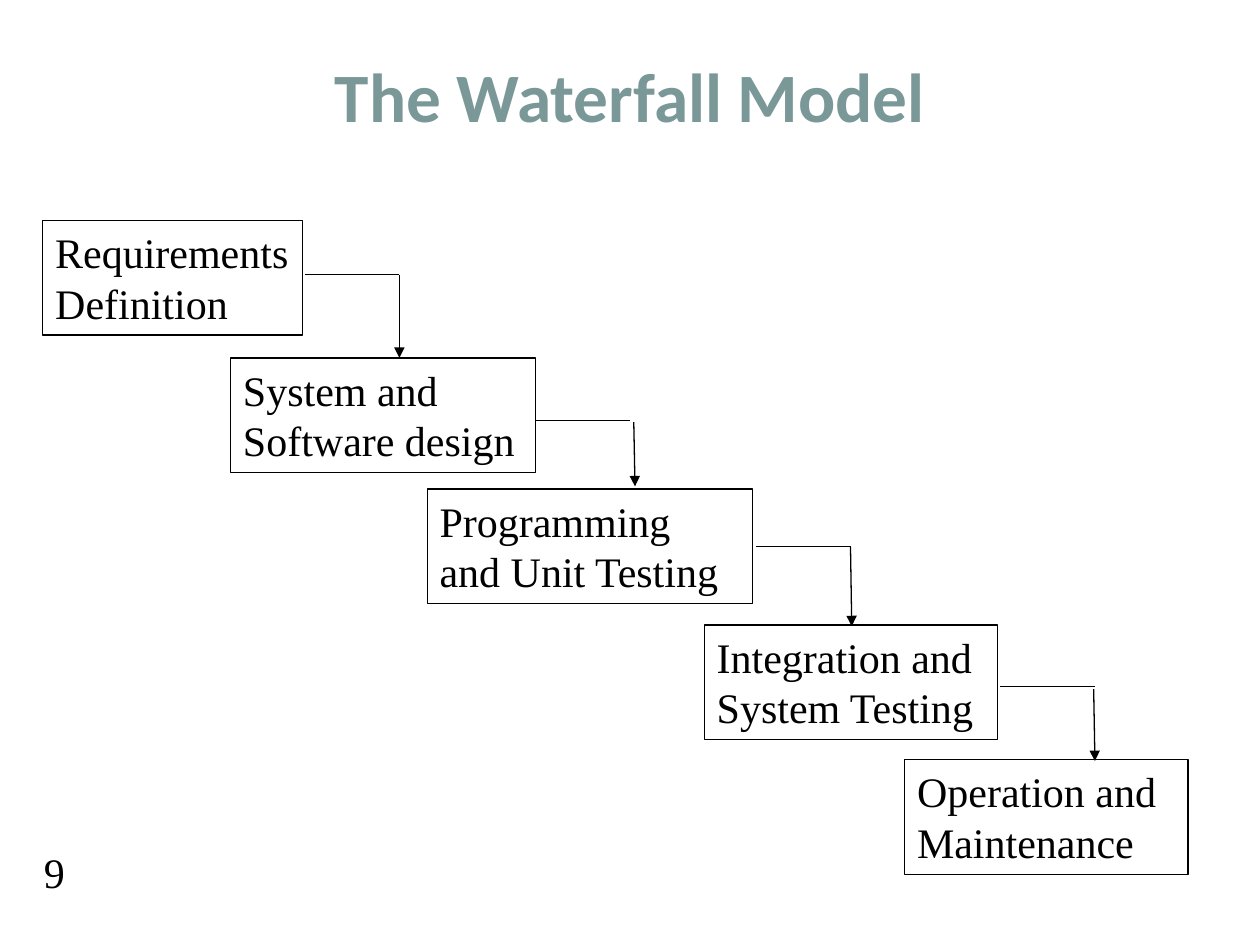
import lxml.etree
import pptx
import pptx.dml.color
import pptx.enum.shapes
import pptx.enum.text
import pptx.oxml.ns
import pptx.util

Inches = pptx.util.Inches
Pt = pptx.util.Pt
BLACK = pptx.dml.color.RGBColor(0x00, 0x00, 0x00)
TEAL = pptx.dml.color.RGBColor(0x7B, 0x98, 0x99)

BODY_FONT = {"name": "Times New Roman", "size": Pt(24), "bold": False}
TITLE_FONT = {"name": "Calibri", "size": Pt(39.6), "bold": True}
BOX_HEIGHT = 0.91
RUN_LENGTH = 0.75

# Text lines, left, top, width
stages = [
    (("Requirements", "Definition"), 0.34, 1.75, 2.06),
    (("System and", "Software design"), 1.83, 2.84, 2.42),
    (("Programming", "and Unit Testing"), 3.39, 3.88, 2.58),
    (("Integration and", "System Testing"), 5.59, 4.96, 2.33),
    (("Operation and", "Maintenance"), 7.18, 6.03, 2.25),
]
# Start of the level run, then start and end of the drop to the next stage
steps = [
    ((2.42, 2.18), (3.17, 2.18), (3.17, 2.84)),
    ((4.25, 3.34), (5.03, 3.35), (5.04, 3.86)),
    ((6, 4.34), (6.75, 4.34), (6.76, 4.97)),
    ((7.94, 5.45), (8.68, 5.47), (8.69, 6.04)),
]


def write_text(frame, lines, font_format, color, alignment):
    for index, line in enumerate(lines):
        paragraph = frame.paragraphs[0] if index == 0 else frame.add_paragraph()
        paragraph.alignment = alignment
        run = paragraph.add_run()
        run.text = line
        run.font.color.rgb = color
        for attribute, value in font_format.items():
            setattr(run.font, attribute, value)


def draw_line(start, end, arrow=False):
    line = slide.shapes.add_connector(
        pptx.enum.shapes.MSO_CONNECTOR.STRAIGHT,
        *(Inches(length) for length in (*start, *end)))
    line.line.color.rgb = BLACK
    line.line.width = Pt(0.75)
    if arrow:
        lxml.etree.SubElement(line.line._get_or_add_ln(),
                              pptx.oxml.ns.qn("a:tailEnd"), type="triangle")
    lxml.etree.SubElement(line._element.spPr, pptx.oxml.ns.qn("a:effectLst"))


presentation = pptx.Presentation()
presentation.slide_width = Inches(10)
presentation.slide_height = Inches(7.5)
slide = presentation.slides.add_slide(presentation.slide_layouts[5])
left_aligned = pptx.enum.text.PP_ALIGN.LEFT

page_number = slide.shapes.add_textbox(
    Inches(0.25), Inches(6.67), Inches(1.08), Inches(0.5))
page_number.text_frame.word_wrap = True
write_text(page_number.text_frame, ["9"], BODY_FONT, BLACK, left_aligned)

title = slide.shapes.title
title.left, title.top = Inches(0.75), Inches(0.42)
title.width, title.height = Inches(8.5), Inches(0.67)
title.text_frame.auto_size = pptx.enum.text.MSO_AUTO_SIZE.NONE
title.text_frame.vertical_anchor = pptx.enum.text.MSO_ANCHOR.MIDDLE
write_text(title.text_frame, ["The Waterfall Model"], TITLE_FONT, TEAL,
           pptx.enum.text.PP_ALIGN.CENTER)

for lines, left, top, width in stages:
    stage = slide.shapes.add_shape(
        pptx.enum.shapes.MSO_SHAPE.RECTANGLE,
        Inches(left), Inches(top), Inches(width), Inches(BOX_HEIGHT))
    stage.shadow.inherit = False
    stage.fill.background()
    stage.line.color.rgb = BLACK
    stage.line.width = Pt(0.75)
    stage.text_frame.vertical_anchor = pptx.enum.text.MSO_ANCHOR.TOP
    write_text(stage.text_frame, lines, BODY_FONT, BLACK, left_aligned)

for run_start, drop_start, drop_end in steps:
    draw_line(run_start, (run_start[0] + RUN_LENGTH, run_start[1]))
    draw_line(drop_start, drop_end, arrow=True)

presentation.save("out.pptx")
